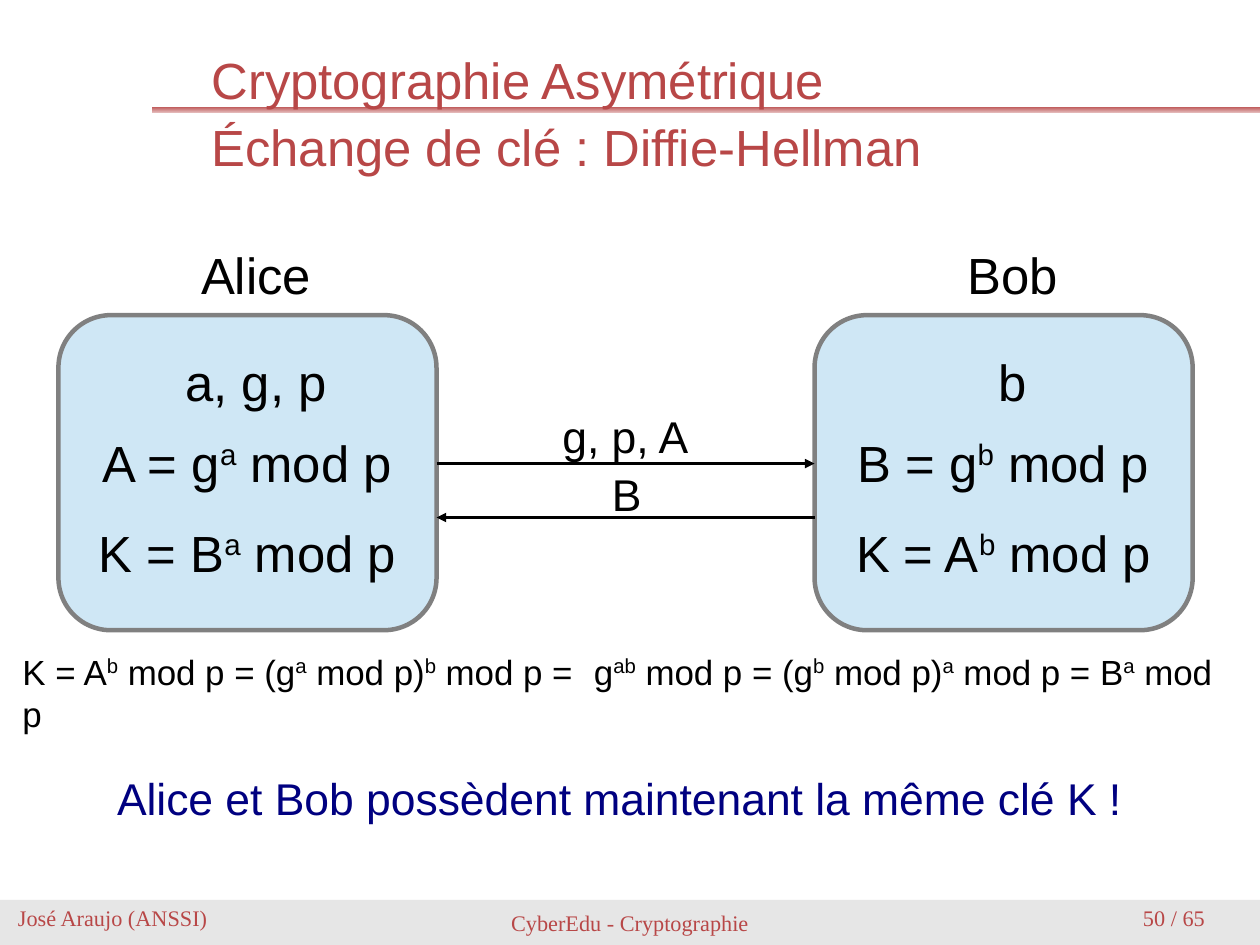
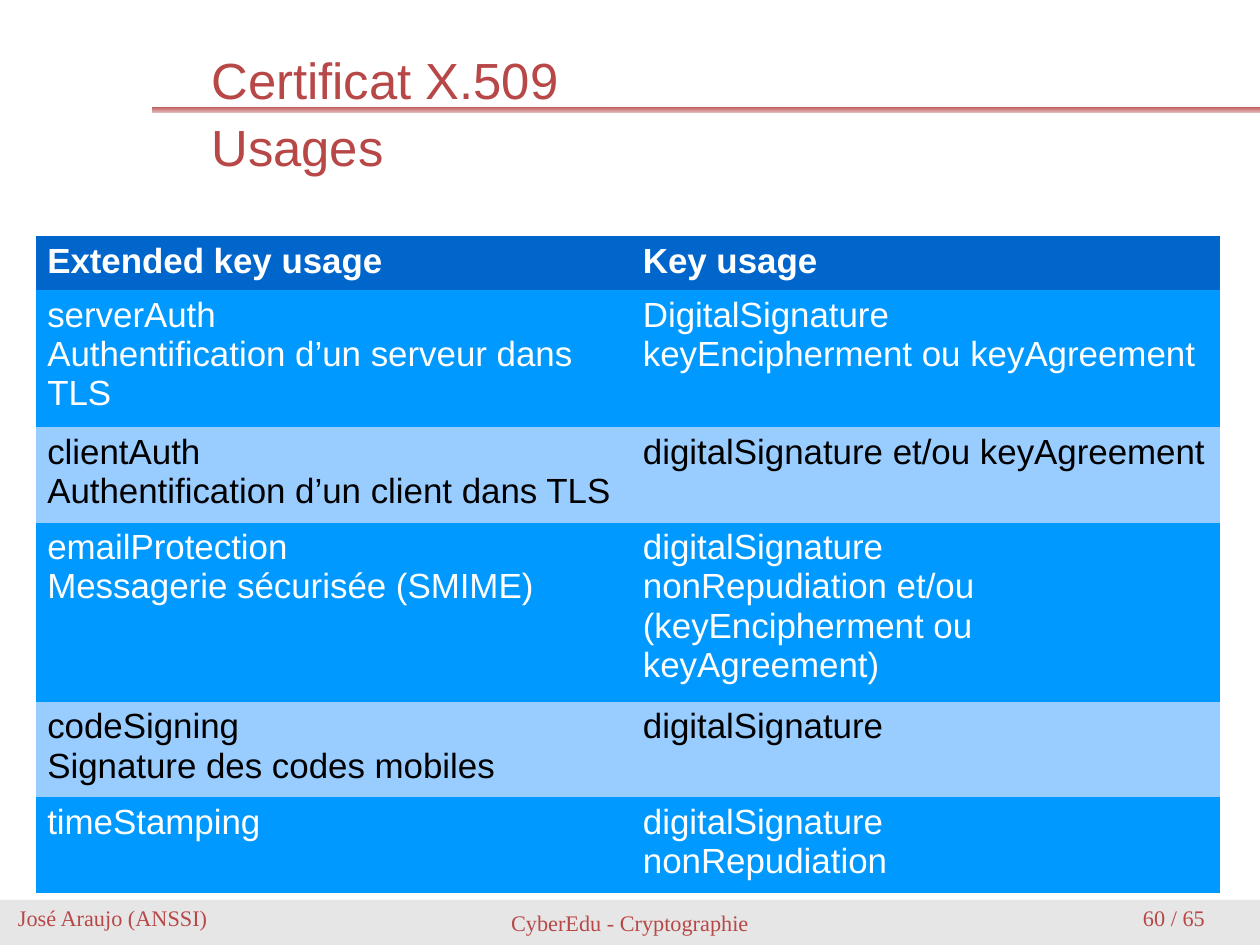
from lxml.etree import SubElement
from pptx import Presentation
from pptx.dml.color import RGBColor
from pptx.enum.shapes import MSO_CONNECTOR as Line, MSO_SHAPE as Shape
from pptx.enum.text import MSO_ANCHOR as Anchor, PP_ALIGN as Align
from pptx.oxml.ns import qn
from pptx.util import Pt

WIDE, HIGH = 793.7, 595.3
SANS, SERIF = "Arial", "Times New Roman"
RED, BLACK, WHITE, NAVY = "B84747", "000000", "FFFFFF", "000080"
GREY, EDGE, PALE = "E6E6E6", "808080", "CFE7F5"
HEAD, DEEP, LIGHT = "0066CC", "0099FF", "99CCFF"
PLAIN_TABLE = "{2D5ABB26-0587-4C30-8999-92F81FD0307C}"

USAGES = [
    ("Extended key usage", "Key usage"),
    ("serverAuth\nAuthentification d’un serveur dans TLS",
     "DigitalSignature\nkeyEncipherment ou keyAgreement"),
    ("clientAuth\nAuthentification d’un client dans TLS",
     "digitalSignature et/ou keyAgreement"),
    ("emailProtection\nMessagerie sécurisée (SMIME)",
     "digitalSignature\nnonRepudiation et/ou (keyEncipherment ou keyAgreement)"),
    ("codeSigning\nSignature des codes mobiles", "digitalSignature"),
    ("timeStamping", "digitalSignature\nnonRepudiation"),
]


def paint(color, code):
    color.rgb = RGBColor.from_string(code)


def style(para, size, code, face=SANS, bold=False):
    font = para.font
    font.name, font.size, font.bold = face, Pt(size), bold
    paint(font.color, code)


def write(shape, words, size, code=BLACK, face=SANS, align=Align.LEFT):
    """Fill a shape with one paragraph; ^ opens and closes a superscript."""
    frame = shape.text_frame
    frame.word_wrap = True
    frame.margin_left = frame.margin_right = 0
    frame.margin_top = frame.margin_bottom = 0
    para = frame.paragraphs[0]
    if "^" in words:
        for i, part in enumerate(words.split("^")):
            run = para.add_run()
            run.text = part
            if i % 2:
                run._r.get_or_add_rPr().set("baseline", "33000")
    else:
        para.text = words
    para.alignment = align
    style(para, size, code, face)
    return frame


def label(slide, box, words, size, code=BLACK, face=SANS, align=Align.LEFT):
    shape = slide.shapes.add_textbox(*map(Pt, box))
    return write(shape, words, size, code, face, align)


def block(slide, kind, box):
    shape = slide.shapes.add_shape(kind, *map(Pt, box))
    shape.shadow.inherit = False
    shape.line.fill.background()
    return shape


def footer(slide, top, page):
    bar = block(slide, Shape.RECTANGLE, (0, top, WIDE, HIGH - top))
    bar.fill.solid()
    paint(bar.fill.fore_color, GREY)
    frame = write(bar, "CyberEdu - Cryptographie", 14, RED, SERIF, Align.CENTER)
    frame.vertical_anchor = Anchor.MIDDLE
    label(slide, (11.3, top + 3, 140, 16), "José Araujo (ANSSI)", 14, RED, SERIF)
    label(slide, (720, top + 3, 73, 16), f"{page} / 65", 14, RED, SERIF)


def header(slide, left, title):
    rule = block(slide, Shape.RECTANGLE, (left, 67.5, WIDE - left, 3.2))
    rule.fill.gradient()
    rule.fill.gradient_angle = 90
    for stop, spot in zip(rule.fill.gradient_stops, (0, 1)):
        paint(stop.color, RED)
        stop.position = spot
    tint = next(rule._element.iter(qn("a:srgbClr")))
    SubElement(tint, qn("a:alpha")).set("val", "30000")
    frame = label(slide, (left + 36.9, 23.8, 654, 90), title, 32, RED)
    frame.vertical_anchor = Anchor.MIDDLE
    frame.paragraphs[0].line_spacing = Pt(42.5)


def start(deck, title, page):
    slide = deck.slides.add_slide(deck.slide_layouts[6])
    footer(slide, 566.9, page)
    header(slide, 96.3, title)
    return slide


def person(slide, left, top, name, known, sent, key):
    card = block(slide, Shape.ROUNDED_RECTANGLE, (left, top, 238.2, 198.5))
    card.fill.solid()
    paint(card.fill.fore_color, PALE)
    paint(card.line.color, EDGE)
    card.line.width = Pt(2.83)
    rows = [(name, 79.3, -45.3, 90.7), (known, 79.3, 22.6, 90.7),
            (sent, 17, 73.6, 204), (key, 17, 130.3, 204)]
    for words, dx, dy, width in rows:
        label(slide, (left + dx, top + dy, width, 37), words, 32,
              align=Align.CENTER)


def arrow(slide, x1, x2, y, words, box):
    link = slide.shapes.add_connector(Line.STRAIGHT, Pt(x1), Pt(y), Pt(x2), Pt(y))
    paint(link.line.color, BLACK)
    link.line.width = Pt(0)
    SubElement(link.line._get_or_add_ln(), qn("a:tailEnd")).set("type", "triangle")
    SubElement(link._element.spPr, qn("a:effectLst"))
    label(slide, box, words, 28)


def grid(slide, left, top, cols, rows):
    shape = slide.shapes.add_table(len(rows), len(cols), Pt(left), Pt(top),
                                   Pt(sum(cols)), Pt(sum(rows)))
    table = shape.table
    table.first_row = table.horz_banding = False
    table._tbl.tblPr.find(qn("a:tableStyleId")).text = PLAIN_TABLE
    for col, width in zip(table.columns, cols):
        col.width = Pt(width)
    for r, (height, texts) in enumerate(zip(rows, USAGES)):
        table.rows[r].height = Pt(height)
        back = HEAD if r == 0 else DEEP if r % 2 else LIGHT
        for c, words in enumerate(texts):
            cell = table.cell(r, c)
            cell.fill.solid()
            paint(cell.fill.fore_color, back)
            cell.text = words
            for para in cell.text_frame.paragraphs:
                style(para, 22, BLACK if back == LIGHT else WHITE, bold=r == 0)


def exchange(deck):
    slide = start(deck, "Cryptographie Asymétrique\vÉchange de clé\u00a0: Diffie-Hellman", 50)
    person(slide, 36.8, 198.5, "Alice", "a, g, p",
           "A = g^a^ mod p", "K = B^a^ mod p")
    person(slide, 513.1, 198.5, "Bob", "b",
           "B = g^b^ mod p", "K = A^b^ mod p")
    arrow(slide, 275, 513.1, 292, "g, p, A", (354.3, 257.8, 90.7, 31))
    arrow(slide, 513.1, 275, 326, "B", (385.5, 294.5, 25, 31))
    label(slide, (14.2, 409.7, 765.4, 49),
          "K = A^b^ mod p = (g^a^ mod p)^b^ mod p = \tg^ab^ mod p"
          " = (g^b^ mod p)^a^ mod p = B^a^ mod p", 22)
    label(slide, (73.7, 486, 660, 31),
          "Alice et Bob possèdent maintenant la même clé K\u00a0!", 28, NAVY)


def usages(deck):
    slide = start(deck, "Certificat X.509\vUsages", 60)
    grid(slide, 22.6, 148.8, (375.2, 370.6), (34, 86.3, 59.9, 112.7, 59.9, 60.4))


def main():
    deck = Presentation()
    deck.slide_width, deck.slide_height = Pt(WIDE), Pt(HIGH)
    exchange(deck)
    usages(deck)
    deck.save("out.pptx")


if __name__ == "__main__":
    main()
